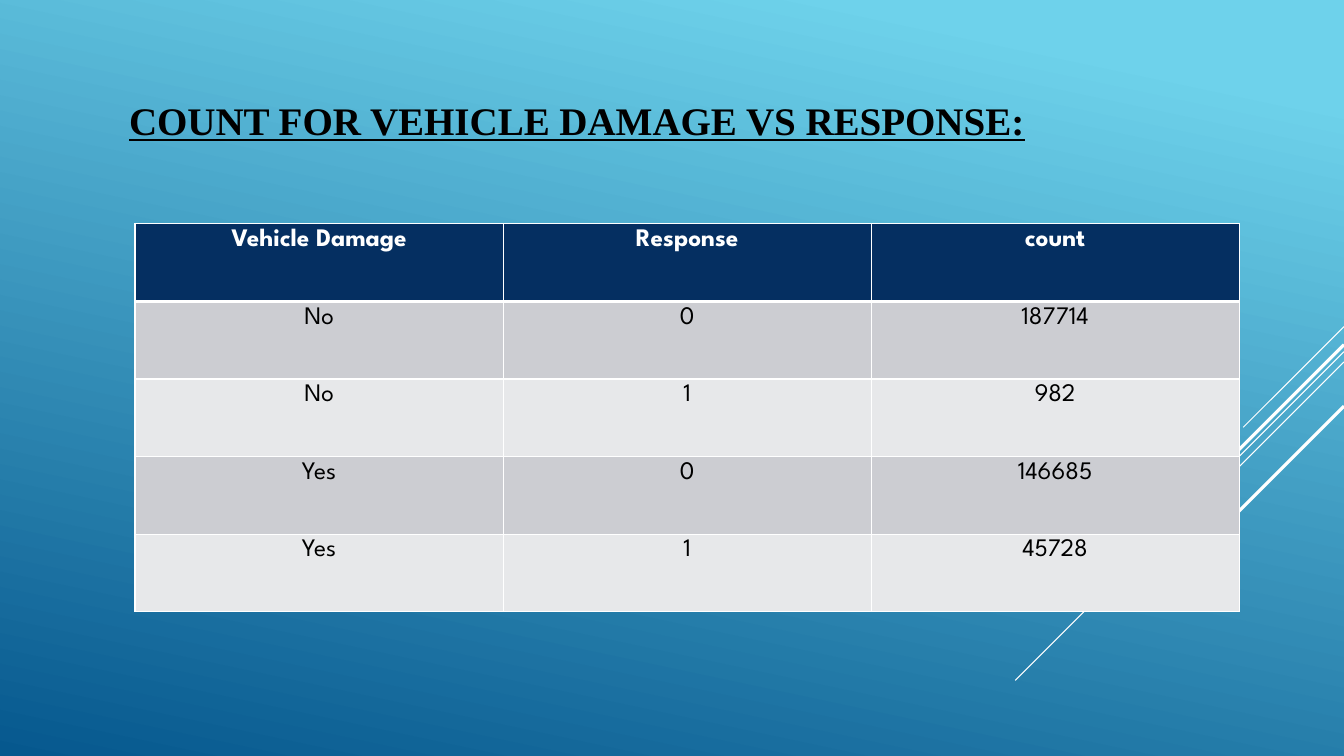
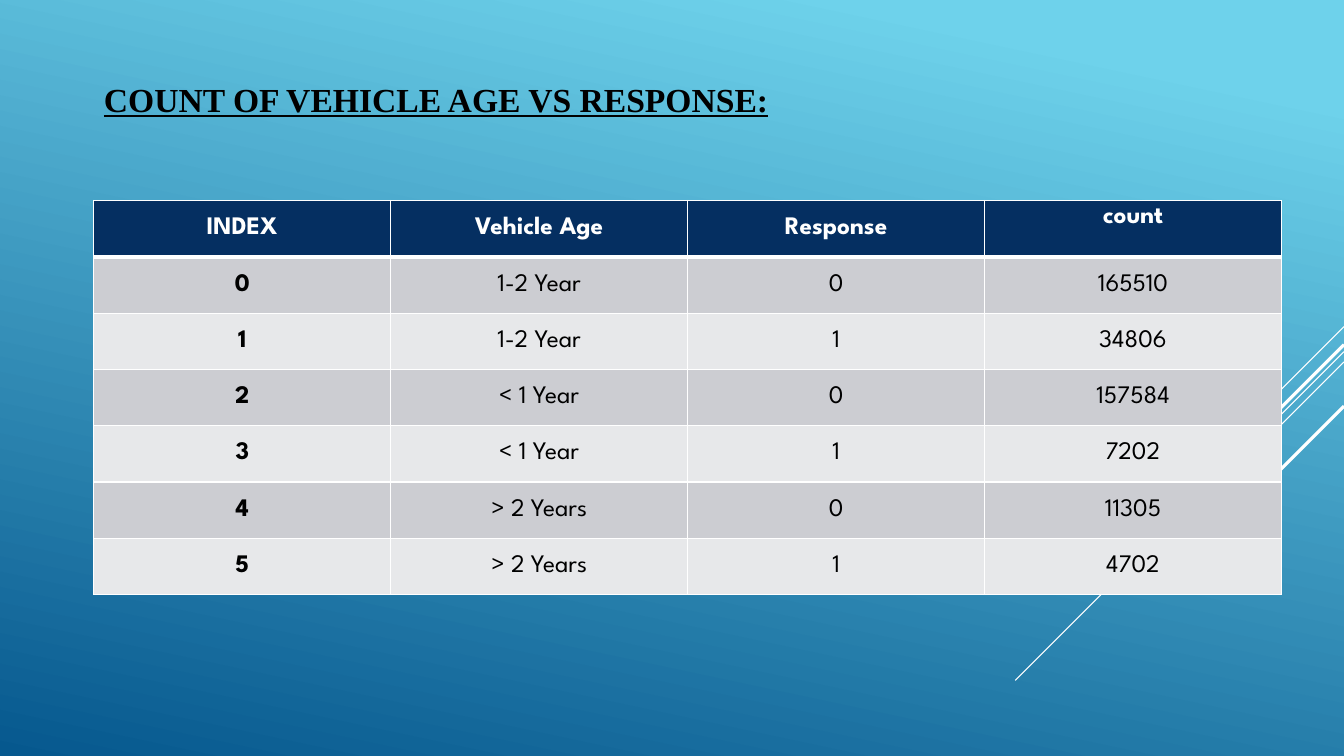
"""Build two slides that tabulate vehicle damage and vehicle age against response."""
from dataclasses import dataclass
from typing import Any

from lxml.etree import SubElement as Sub
from pptx import Presentation
from pptx.dml.color import RGBColor as RGB
from pptx.enum.shapes import MSO_CONNECTOR as Conn
from pptx.enum.text import MSO_ANCHOR as Anchor, MSO_AUTO_SIZE as AutoSize, PP_ALIGN as Align
from pptx.oxml.ns import qn
from pptx.util import Emu, Inches, Pt

W, H = Inches(13.33), Inches(7.5)
COLORS = {"sky": "6ED2EB", "deep": "06588E", "white": "FFFFFF", "ink": "000000",
          "head": "052F61", "odd": "CCCDD2", "even": "E7E8EA"}
TITLE_FONT = {"name": "Times New Roman", "bold": True, "underline": True}
CELL_FONT = {"name": "League Spartan", "size": Pt(18)}


@dataclass(frozen=True)
class Box:
    left: float
    top: float
    width: float
    height: float

    def emu(self) -> tuple[Emu, ...]:
        shares = ((self.left, W), (self.top, H), (self.width, W), (self.height, H))
        return tuple(Emu(round(share * full / 100)) for share, full in shares)


@dataclass(frozen=True)
class Ray:
    top: float
    reach: float
    weight: float


@dataclass(frozen=True)
class Page:
    title: str
    title_box: Box
    title_size: float
    title_anchor: Any
    table_box: Box
    rows: list[tuple[str, ...]]
    anchor: Any
    bold_first: bool = False


RAYS = [Ray(43.2, 13.33, 0.75), Ray(46.53, 43.47, 0.75), Ray(47.87, 27.67, 0.75),
        Ray(45.6, 25.47, 2.25), Ray(53.73, 18.53, 2.25)]

PAGES = [
    Page("COUNT FOR VEHICLE DAMAGE VS RESPONSE:", Box(8.85, 11.73, 78.84, 22), 27.9, Anchor.TOP,
         Box(10.05, 29.6, 82.15, 51.33),
         [("Vehicle Damage", "Response", "count"),
          ("No", "0", "187714"),
          ("No", "1", "982"),
          ("Yes", "0", "146685"),
          ("Yes", "1", "45728")], Anchor.TOP),
    Page("COUNT OF VEHICLE AGE VS RESPONSE:", Box(6.98, 1.87, 80.12, 22), 24, Anchor.MIDDLE,
         Box(6.98, 26.53, 88.37, 52.13),
         [("INDEX", "Vehicle Age", "Response", "count"),
          ("0", "1-2 Year", "0", "165510"),
          ("1", "1-2 Year", "1", "34806"),
          ("2", "< 1 Year", "0", "157584"),
          ("3", "< 1 Year", "1", "7202"),
          ("4", "> 2 Years", "0", "11305"),
          ("5", "> 2 Years", "1", "4702")], Anchor.MIDDLE, True),
]


def rgb(name: str) -> RGB:
    return RGB.from_string(COLORS[name])


def apply(target: Any, values: dict[str, Any]) -> None:
    for key, value in values.items():
        setattr(target, key, value)


def style_font(font: Any, color: str, values: dict[str, Any]) -> None:
    apply(font, values)
    font.color.rgb = rgb(color)


def paint_background(master: Any) -> None:
    fill = master.background.fill
    fill.gradient()
    fill.gradient_angle = 258
    for stop, (color, position) in zip(fill.gradient_stops, (("sky", 0.1), ("deep", 1.0))):
        stop.color.rgb = rgb(color)
        stop.position = position


def add_ray(slide: Any, ray: Ray) -> None:
    y, reach = round(H * ray.top / 100), round(H * ray.reach / 100)
    line = slide.shapes.add_connector(Conn.STRAIGHT, W, y, W - reach, y + reach)
    line.line.color.rgb = rgb("white")
    line.line.width = Pt(ray.weight)
    Sub(line._element.spPr, qn("a:effectLst"))


def add_title(slide: Any, page: Page) -> None:
    sp = slide.shapes.title
    apply(sp, dict(zip(("left", "top", "width", "height"), page.title_box.emu())))
    tf = sp.text_frame
    apply(tf, {"word_wrap": True, "auto_size": AutoSize.NONE,
               "vertical_anchor": page.title_anchor, "margin_top": Inches(0.08)})
    p = tf.paragraphs[0]
    p.alignment = Align.LEFT
    r = p.add_run()
    r.text = page.title
    style_font(r.font, "ink", TITLE_FONT | {"size": Pt(page.title_size)})


def add_borders(cell: Any, row: int) -> None:
    weights = {"L": 1, "R": 1, "T": 3 if row == 1 else 1, "B": 3 if row == 0 else 1}
    for side, weight in weights.items():
        ln = Sub(cell._tc.get_or_add_tcPr(), qn(f"a:ln{side}"), w=str(Pt(weight)))
        Sub(Sub(ln, qn("a:solidFill")), qn("a:srgbClr"), val=COLORS["white"])


def add_table(slide: Any, page: Page) -> None:
    n_rows, n_cols = len(page.rows), len(page.rows[0])
    left, top, width, height = page.table_box.emu()
    table = slide.shapes.add_table(n_rows, n_cols, left, top, width, height).table
    for row, texts in enumerate(page.rows):
        head = row == 0
        for col, text in enumerate(texts):
            cell = table.cell(row, col)
            add_borders(cell, row)
            cell.fill.solid()
            cell.fill.fore_color.rgb = rgb("head" if head else "odd" if row % 2 else "even")
            last_head = head and col == n_cols - 1
            apply(cell, {"vertical_anchor": Anchor.TOP if last_head else page.anchor,
                         "margin_left": Inches(0.08), "margin_right": Inches(0.08),
                         "margin_top": Inches(0.05), "margin_bottom": Inches(0.05)})
            p = cell.text_frame.paragraphs[0]
            p.alignment = Align.CENTER
            r = p.add_run()
            r.text = text
            bold = head or (page.bold_first and col == 0)
            style_font(r.font, "white" if head else "ink", CELL_FONT | {"bold": bold})


def main() -> None:
    prs = Presentation()
    apply(prs, {"slide_width": W, "slide_height": H})
    paint_background(prs.slide_master)
    for page in PAGES:
        slide = prs.slides.add_slide(prs.slide_layouts.get_by_name("Title Only"))
        for ray in RAYS:
            add_ray(slide, ray)
        add_title(slide, page)
        add_table(slide, page)
    prs.save("out.pptx")


if __name__ == "__main__":
    main()
